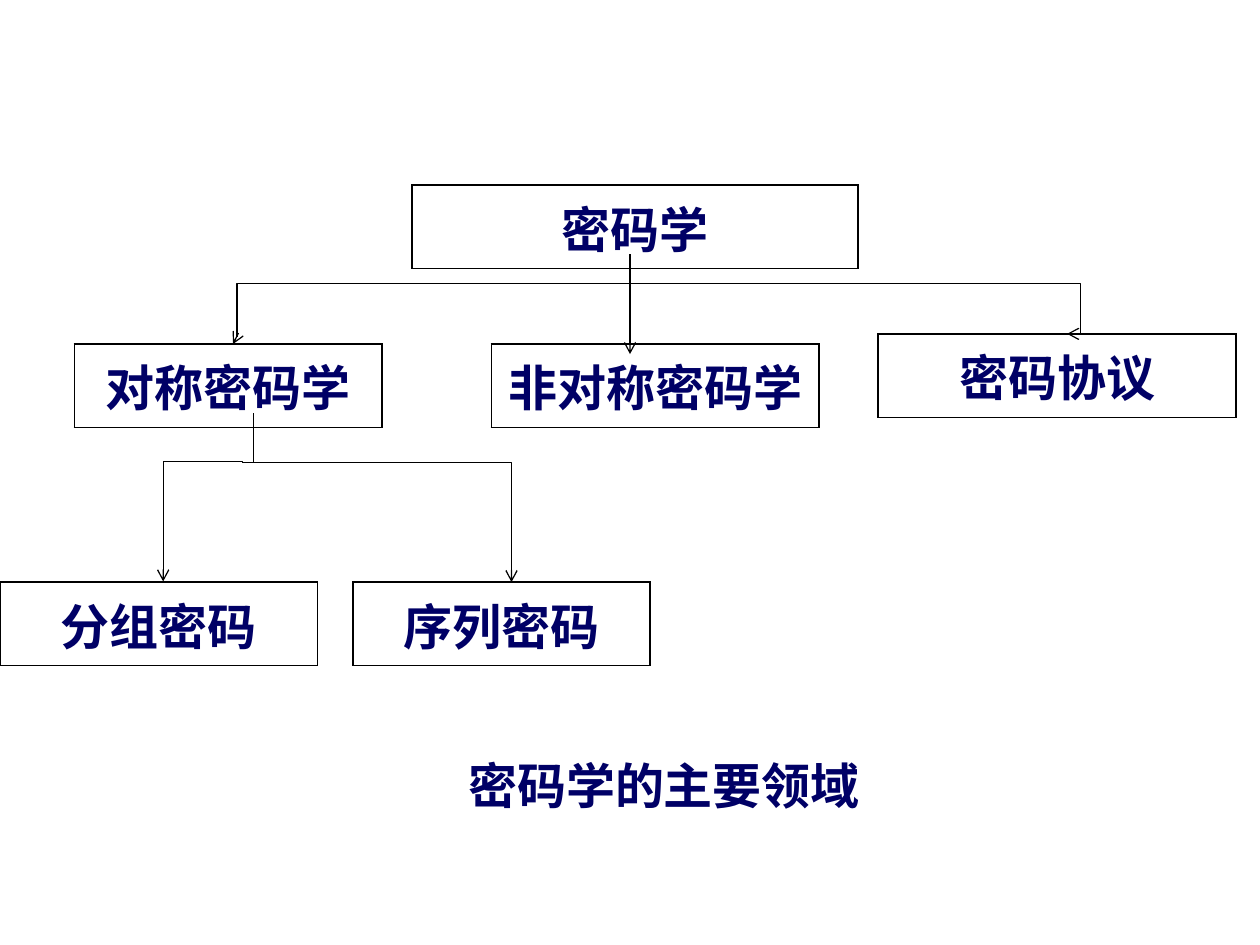
"""Build a slide showing the main fields of cryptography as a tree."""
from lxml import etree
from pptx import Presentation
from pptx.dml.color import RGBColor
from pptx.enum.shapes import MSO_CONNECTOR
from pptx.enum.text import MSO_AUTO_SIZE, PP_ALIGN
from pptx.oxml.ns import qn
from pptx.util import Inches, Pt

STRAIGHT, ELBOW = MSO_CONNECTOR.STRAIGHT, MSO_CONNECTOR.ELBOW
CENTER = PP_ALIGN.CENTER
NAVY = RGBColor(0x00, 0x00, 0x66)
BLACK = RGBColor(0x00, 0x00, 0x00)
FONT = "Times New Roman"
BOX_H = 0.57

BOXES = [
    ("密码学", 3.27, 1.47, 3.54),
    ("密码协议", 6.97, 2.65, 2.84),
    ("非对称密码学", 3.9, 2.73, 2.6),
    ("对称密码学", 0.59, 2.73, 2.44),
    ("序列密码", 2.8, 4.62, 2.36),
    ("分组密码", 0, 4.62, 2.52),
]
LINKS = [
    dict(start=(5, 2.02), end=(5, 2.81)),
    dict(start=(5, 2.25), end=(8.47, 2.65), bend=1.03),
    dict(start=(5, 2.25), end=(1.85, 2.73), bend=0.99),
    dict(start=(1.93, 3.67), end=(4.06, 4.62), bend=1),
    dict(start=(1.14, 3.83), end=(2.08, 4.46), bend=-0.01, turn=90),
    dict(start=(2.01, 3.28), end=(2.01, 3.67), arrow=False),
]
CAPTION = ("密码学的主要领域", 2.87, 5.95, 4.8)


def write(tf, text):
    p = tf.paragraphs[0]
    p.alignment = CENTER
    r = p.add_run()
    r.text = text
    r.font.name, r.font.size, r.font.bold = FONT, Pt(28), True
    r.font.color.rgb = NAVY


def add_box(s, text, x, y, w):
    table = s.shapes.add_table(1, 1, Inches(x), Inches(y), Inches(w), Inches(BOX_H)).table
    table.first_row = table.horz_banding = False
    cell = table.cell(0, 0)
    write(cell.text_frame, text)
    tc_pr = cell._tc.get_or_add_tcPr()
    for side in "LRTB":
        ln = etree.SubElement(tc_pr, qn(f"a:ln{side}"), w=str(Pt(1)))
        fill = etree.SubElement(ln, qn("a:solidFill"))
        etree.SubElement(fill, qn("a:srgbClr"), val=str(BLACK))
    cell.fill.background()


def add_link(s, start, end, bend=None, turn=0, arrow=True):
    kind = STRAIGHT if bend is None else ELBOW
    link = s.shapes.add_connector(kind, *map(Inches, start + end))
    link.line.color.rgb = BLACK
    link.line.width = Pt(0.75)
    sp_pr = link._element.spPr
    etree.SubElement(sp_pr, qn("a:effectLst"))
    if arrow:
        etree.SubElement(sp_pr.find(qn("a:ln")), qn("a:tailEnd"), type="arrow")
    if bend is not None:
        guides = sp_pr.find(qn("a:prstGeom")).get_or_add_avLst()
        etree.SubElement(guides, qn("a:gd"), name="adj1", fmla=f"val {round(bend * 100000)}")
    if turn:
        sp_pr.find(qn("a:xfrm")).set("rot", str(turn * 60000))


def add_caption(s, text, x, y, w):
    tf = s.shapes.add_textbox(Inches(x), Inches(y), Inches(w), Inches(BOX_H)).text_frame
    tf.word_wrap = True
    tf.auto_size = MSO_AUTO_SIZE.SHAPE_TO_FIT_TEXT
    write(tf, text)


def main():
    prs = Presentation()
    prs.slide_width, prs.slide_height = Inches(10), Inches(7.5)
    s = prs.slides.add_slide(prs.slide_layouts[6])
    for box in BOXES:
        add_box(s, *box)
    for link in LINKS:
        add_link(s, **link)
    add_caption(s, *CAPTION)
    prs.save("out.pptx")


if __name__ == "__main__":
    main()
